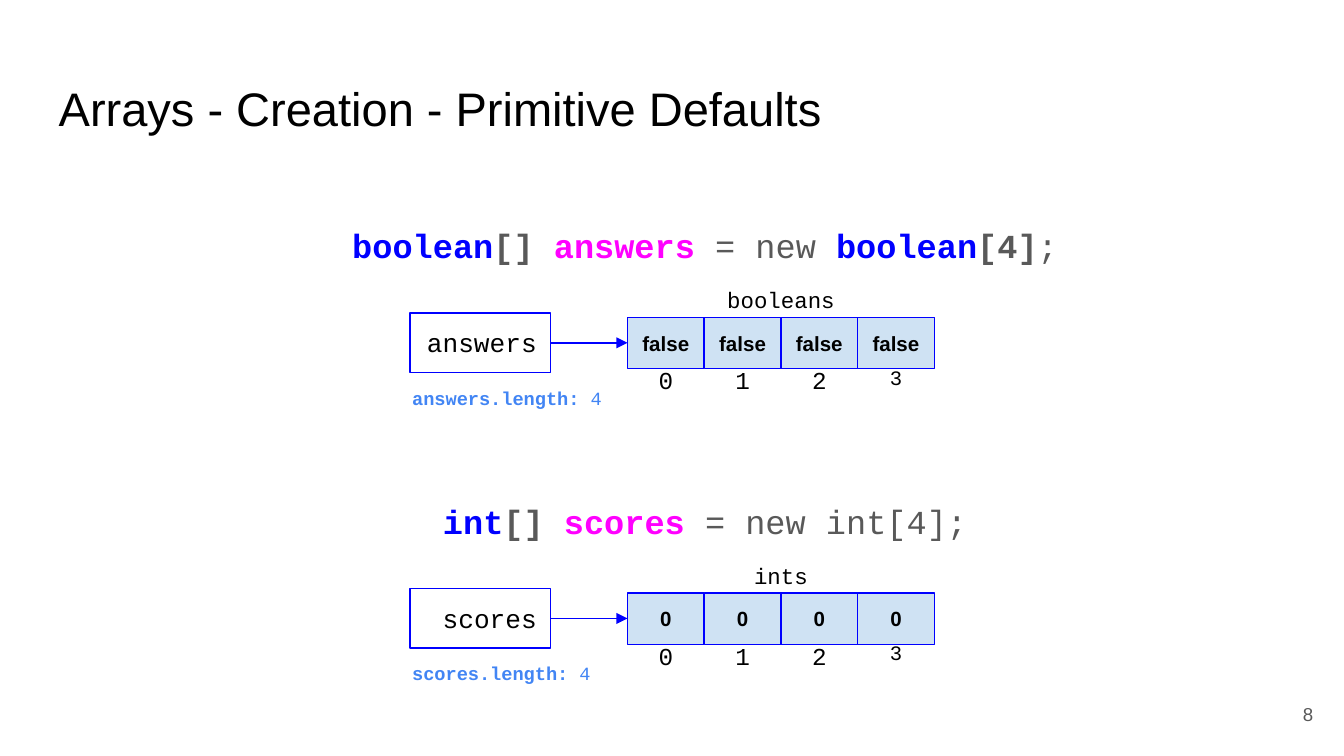
import pptx
import pptx.dml.color
import pptx.enum.shapes
import pptx.enum.text
import pptx.oxml
import pptx.oxml.ns
import pptx.util
from pptx.util import Cm, Pt

SANS, MONO = "Arial", "Courier New"
BLACK, GREY, BLUE, PINK = "000000", "595959", "0000FF", "FF00FF"
CELL_FILL, LENGTH_BLUE = "CFE2F3", "4285F4"
LEFT, CENTER, RIGHT = (pptx.enum.text.PP_ALIGN.LEFT, pptx.enum.text.PP_ALIGN.CENTER,
                       pptx.enum.text.PP_ALIGN.RIGHT)
TOP, MIDDLE = pptx.enum.text.MSO_ANCHOR.TOP, pptx.enum.text.MSO_ANCHOR.MIDDLE


def rgb(color):
    return pptx.dml.color.RGBColor.from_string(color)


def write(s, runs, font, size, align=LEFT, anchor=TOP):
    """Fill a shape with one line made of (text, colour, bold) runs."""
    tf = s.text_frame
    tf.word_wrap = True
    tf.vertical_anchor = anchor
    tf.margin_left = tf.margin_right = tf.margin_top = tf.margin_bottom = Cm(0.25)
    p = tf.paragraphs[0]
    p.alignment = align
    for text, color, bold in runs:
        r = p.add_run()
        r.text = text
        r.font.name, r.font.size, r.font.bold = font, Pt(size), bold
        r.font.color.rgb = rgb(color)
    return p


def add_text(shapes, box, runs, font, size, align=LEFT, anchor=TOP):
    s = shapes.add_textbox(*map(Cm, box))
    return write(s, runs, font, size, align, anchor)


def add_box(shapes, box, fill=None):
    s = shapes.add_shape(pptx.enum.shapes.MSO_SHAPE.RECTANGLE, *map(Cm, box))
    s.shadow.inherit = False
    if fill:
        s.fill.solid()
        s.fill.fore_color.rgb = rgb(fill)
    else:
        s.fill.background()
    s.line.color.rgb = rgb(BLUE)
    s.line.width = Pt(0.75)
    return s


def add_arrow(shapes, x1, x2, y):
    s = shapes.add_connector(pptx.enum.shapes.MSO_CONNECTOR.STRAIGHT,
                             Cm(x1), Cm(y), Cm(x2), Cm(y))
    s.line.color.rgb = rgb(BLUE)
    s.line.width = Pt(0.75)
    tail = pptx.oxml.parse_xml(
        f'<a:tailEnd {pptx.oxml.ns.nsdecls("a")} type="triangle"/>')
    s.line._get_or_add_ln().append(tail)
    s._element.spPr.append(
        pptx.oxml.parse_xml(f'<a:effectLst {pptx.oxml.ns.nsdecls("a")}/>'))


def add_array_diagram(shapes, x, y, name, caption, value, count=4):
    """Draw a variable box pointing at a row of indexed cells."""
    cell_w, cells_x = 1.45, x + 4.11
    for i in range(count):
        cell_x = cells_x + i * cell_w
        cell = add_box(shapes, (cell_x, y + 0.08, cell_w, 0.97), CELL_FILL)
        write(cell, [(value, BLACK, True)], SANS, 11, CENTER, MIDDLE)
        size = 11 if i == count - 1 else 13
        add_text(shapes, (cell_x, y + 0.74, cell_w, 1.07),
                 [(str(i), BLACK, False)], MONO, size, CENTER)
    variable = add_box(shapes, (x, y, 2.65, 1.12))
    write(variable, [(name, BLACK, False)], MONO, 14, RIGHT)
    add_arrow(shapes, x + 2.65, cells_x, y + 0.56)
    add_text(shapes, (cells_x, y - 0.76, count * cell_w, 1.02),
             [(caption, BLACK, False)], MONO, 12, CENTER)


def add_example(slide, x, y, w, code, name, caption, value):
    """Place a declaration, its array diagram and its length."""
    p = add_text(slide.shapes, (x, y, w, 1.3), code, MONO, 18, CENTER)
    p.line_spacing = 1.15
    group = slide.shapes.add_group_shape()
    add_array_diagram(group.shapes, x + 5.51, y + 2.03, name, caption, value)
    add_text(slide.shapes, (x + 5.3, y + 3.16, 4.42, 0.94),
             [(f"{name}.length:", LENGTH_BLUE, True), (" 4", LENGTH_BLUE, False)],
             MONO, 10, anchor=MIDDLE)


def main():
    prs = pptx.Presentation()
    prs.slide_width, prs.slide_height = Cm(25.4), Cm(14.29)
    slide = prs.slides.add_slide(prs.slide_layouts[6])
    add_text(slide.shapes, (0.86, 1.24, 23.67, 1.6),
             [("Arrays - Creation - Primitive Defaults", BLACK, False)],
             SANS, 25.2, anchor=MIDDLE)

    examples = [
        ([("boolean", BLUE, True), ("[] ", GREY, True), ("answers", PINK, True),
          (" = new ", GREY, False), ("boolean", BLUE, True), ("[4]", GREY, True),
          (";", GREY, False)], "answers", "booleans", "false"),
        ([("int", BLUE, True), ("[] ", GREY, True), ("scores", PINK, True),
          (" = new int[4];", GREY, False)], "scores", "ints", "0"),
    ]
    for i, example in enumerate(examples):
        add_example(slide, 2.24, 3.89 + i * 5.21, 22.17, *example)

    add_text(slide.shapes, (23.55, 12.95, 1.52, 1.09), [("8", GREY, False)],
             SANS, 10, RIGHT, MIDDLE)
    prs.save("out.pptx")


if __name__ == "__main__":
    main()
